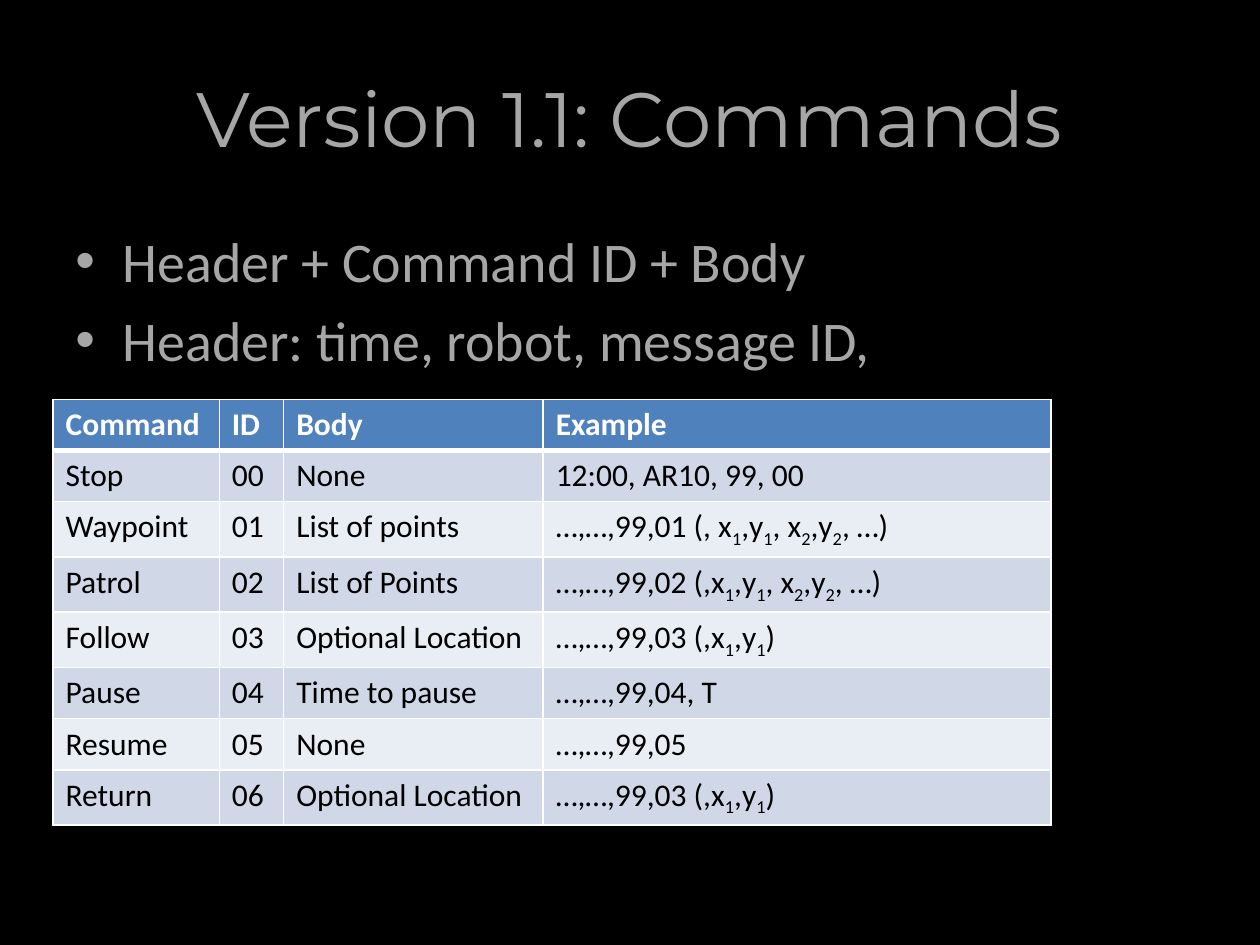
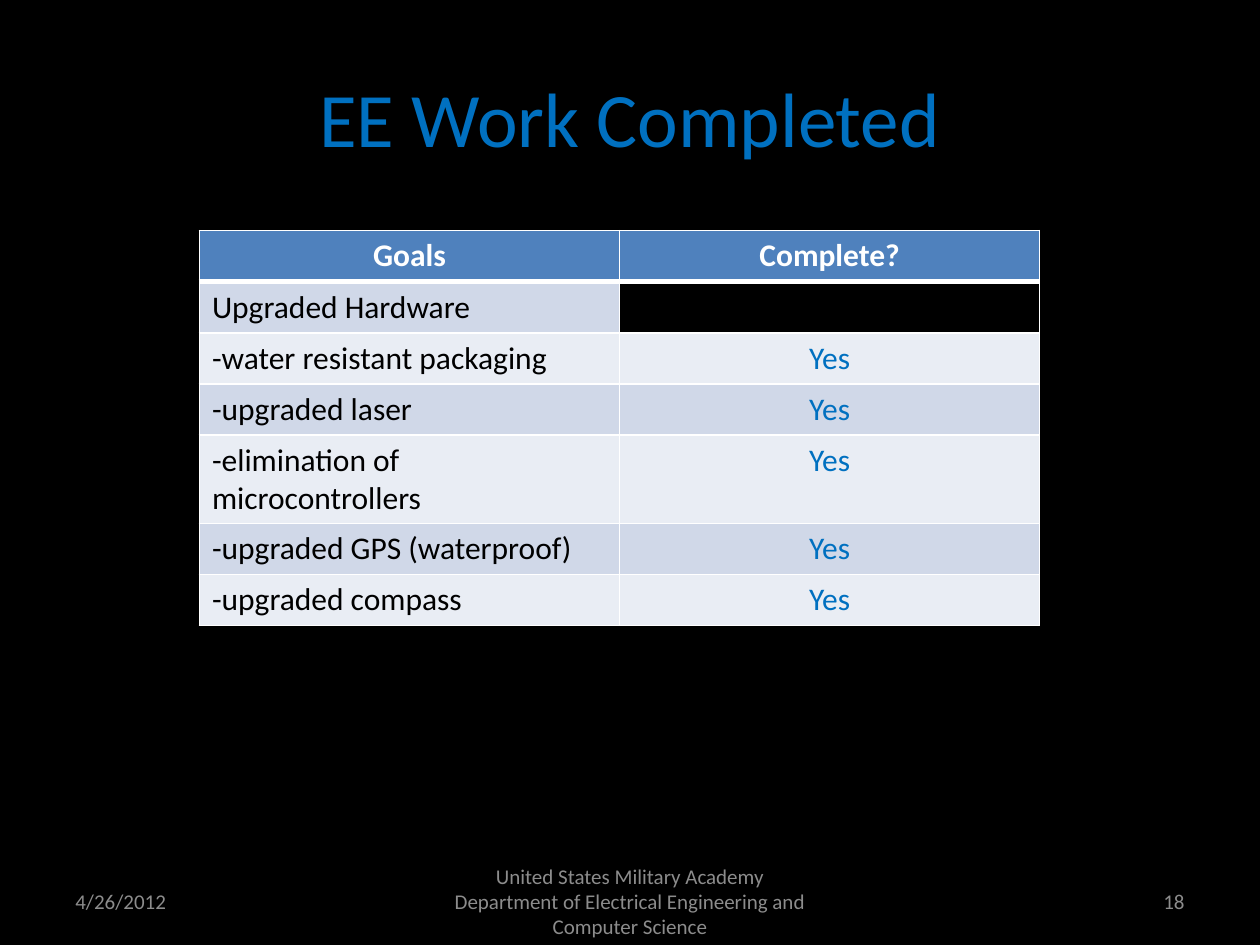
from lxml.etree import SubElement
from pptx import Presentation
from pptx.dml.color import RGBColor
from pptx.enum.text import MSO_ANCHOR, PP_ALIGN
from pptx.oxml.ns import qn
from pptx.util import Cm, Pt

BLACK = RGBColor(0x00, 0x00, 0x00)
WHITE = RGBColor(0xFF, 0xFF, 0xFF)
GREY = RGBColor(0xA6, 0xA6, 0xA6)
DIM = RGBColor(0x8C, 0x8C, 0x8C)
BLUE = RGBColor(0x00, 0x70, 0xC0)
HEAD = RGBColor(0x4F, 0x81, 0xBD)
BANDS = [RGBColor(0xE9, 0xED, 0xF4), RGBColor(0xD0, 0xD8, 0xE8)]

LEFT, MID, RIGHT = PP_ALIGN.LEFT, PP_ALIGN.CENTER, PP_ALIGN.RIGHT
TITLE = {"size": Pt(44), "name": "Calibri", "bold": False}
BODY = {"size": Pt(32), "name": "Calibri"}
TOP = {"size": Pt(18), "name": "Calibri", "bold": True}
CELL = {**TOP, "bold": False}
FOOT = {"size": Pt(12), "name": "Calibri"}


def write(para, text, form, color, align=LEFT):
    para.alignment = align
    first, *rest = text.split("_")
    parts = [(first, 0)]
    for part in rest:
        parts += [(part[0], -25000), (part[1:], 0)]
    for words, base in parts:
        run = para.add_run()
        run.text = words
        for key, value in form.items():
            setattr(run.font, key, value)
        run.font.color.rgb = color
        if base:
            run._r.get_or_add_rPr().set("baseline", str(base))


def grid(slide, left, top, widths, rows, looks, align):
    frame = slide.shapes.add_table(len(rows), len(widths), Cm(left), Cm(top),
                                   Cm(sum(widths)), Cm(1.03 * len(rows)))
    table = frame.table
    table.horz_banding = False
    for col, width in zip(table.columns, widths):
        col.width = Cm(width)
    for r, row in enumerate(rows):
        table.rows[r].height = Cm(1.03)
        for c, text in enumerate(row):
            cell = table.cell(r, c)
            para = cell.text_frame.paragraphs[0]
            if r == 0:
                write(para, text, TOP, WHITE, align)
            elif text:
                write(para, text, CELL, *looks[c])
            props = cell._tc.get_or_add_tcPr()
            sides = {"lnL": 1, "lnR": 1, "lnT": 3 if r == 1 else 1, "lnB": 1 if r else 3}
            for side, size in sides.items():
                line = SubElement(props, qn("a:" + side), w=str(Pt(size)))
                paint = SubElement(line, qn("a:solidFill"))
                SubElement(paint, qn("a:srgbClr"), val=str(WHITE))
            cell.fill.solid()
            cell.fill.fore_color.rgb = BANDS[r % 2] if r else HEAD
            if not text:
                cell.fill.fore_color.rgb = BLACK


deck = Presentation()
deck.slide_width, deck.slide_height = Cm(25.4), Cm(19.05)
back = deck.slide_master.background.fill
back.solid()
back.fore_color.rgb = BLACK

heads = [
    ("Version 1.1: Commands", "Montserrat", GREY),
    ("EE Work Completed", "Calibri", BLUE),
]
slides = []
for text, font, color in heads:
    slide = deck.slides.add_slide(deck.slide_layouts[5])
    title = slide.shapes.title
    title.left, title.top, title.width, title.height = Cm(1.27), Cm(0.76), Cm(22.86), Cm(3.18)
    title.text_frame.vertical_anchor = MSO_ANCHOR.MIDDLE
    write(title.text_frame.paragraphs[0], text, {**TITLE, "name": font}, color, MID)
    slides.append(slide)
orders, goals = slides

grid(orders, 1.07, 8.05, [3.35, 1.3, 5.23, 10.24], [
    ("Command", "ID", "Body", "Example"),
    ("Stop", "00", "None", "12:00, AR10, 99, 00"),
    ("Waypoint", "01", "List of points", "…,…,99,01 (, x_1,y_1, x_2,y_2, …)"),
    ("Patrol", "02", "List of Points", "…,…,99,02 (,x_1,y_1, x_2,y_2, …)"),
    ("Follow", "03", "Optional Location", "…,…,99,03 (,x_1,y_1)"),
    ("Pause", "04", "Time to pause", "…,…,99,04, T"),
    ("Resume", "05", "None", "…,…,99,05"),
    ("Return", "06", "Optional Location", "…,…,99,03 (,x_1,y_1)"),
], [(BLACK, LEFT)] * 4, LEFT)

box = orders.shapes.add_textbox(Cm(1.27), Cm(4.45), Cm(22.86), Cm(12.57)).text_frame
box.word_wrap = True
points = ["Header + Command ID + Body", "Header: time, robot, message ID,"]
for i, text in enumerate(points):
    para = box.add_paragraph() if i else box.paragraphs[0]
    write(para, text, BODY, GREY)
    props = para._p.get_or_add_pPr()
    props.set("marL", str(Cm(0.95)))
    props.set("indent", str(-Cm(0.95)))
    space = SubElement(props, qn("a:spcBef"))
    SubElement(space, qn("a:spcPct"), val="20000")
    SubElement(props, qn("a:buFont"), typeface="Arial")
    SubElement(props, qn("a:buChar"), char="•")

feet = [
    (1.27, 5.92, LEFT, ["4/26/2012"]),
    (8.68, 8.04, MID, ["United States Military Academy",
                       "Department of Electrical Engineering and Computer Science"]),
    (18.21, 5.92, RIGHT, ["18"]),
]
for left, width, align, lines in feet:
    box = goals.shapes.add_textbox(Cm(left), Cm(17.66), Cm(width), Cm(1.01)).text_frame
    box.word_wrap = True
    box.vertical_anchor = MSO_ANCHOR.MIDDLE
    for i, text in enumerate(lines):
        para = box.add_paragraph() if i else box.paragraphs[0]
        write(para, text, FOOT, DIM, align)

done = ["water resistant packaging", "upgraded laser", "elimination of microcontrollers",
        "upgraded GPS (waterproof)", "upgraded compass"]
rows = [("Goals", "Complete?"), ("Upgraded Hardware", "")]
rows += [("-" + goal, "Yes") for goal in done]
grid(goals, 4.02, 4.65, [8.47, 8.47], rows, [(BLACK, LEFT), (BLUE, MID)], MID)

deck.save("out.pptx")
